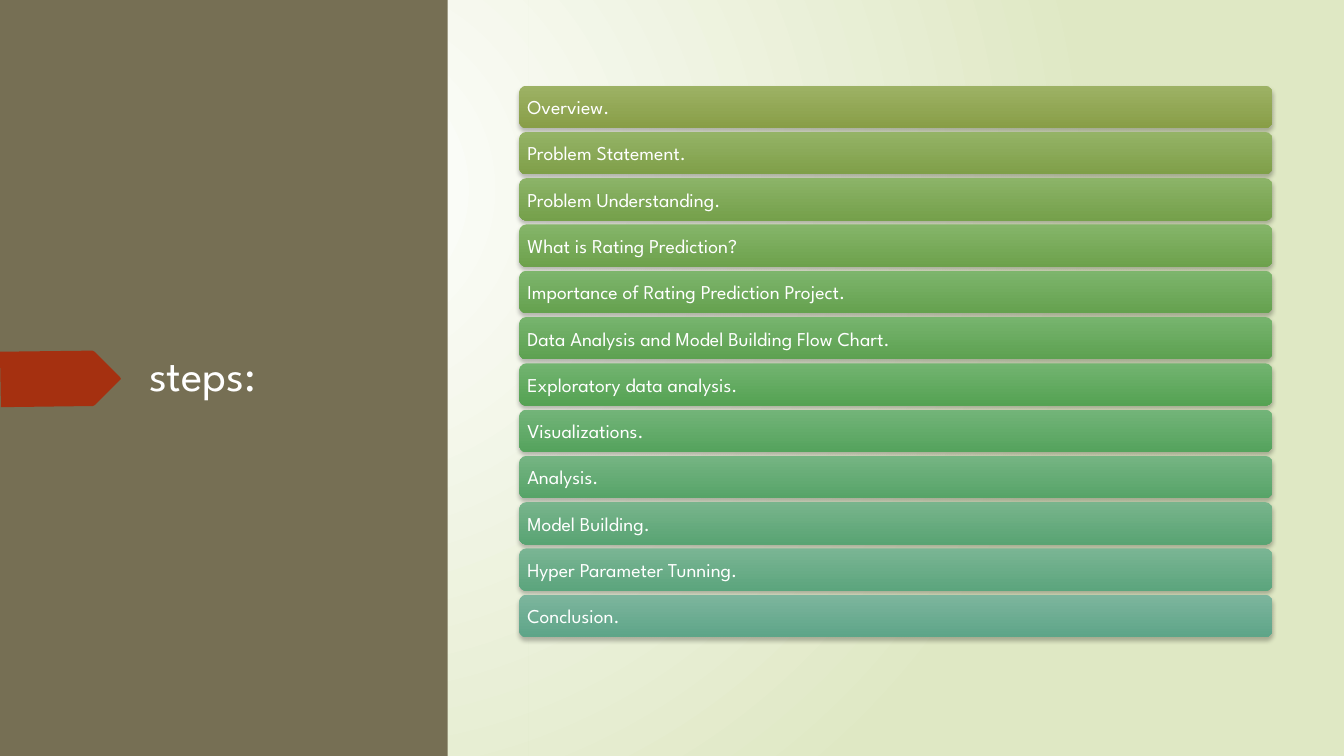
import pptx
import pptx.dml.color
import pptx.enum.shapes
import pptx.enum.text
import pptx.oxml
import pptx.oxml.ns
import pptx.util
from pptx.util import Inches

FONT = "League Spartan"
COLOURS = {
    "white": "FFFFFF",
    "backdrop": "DFE8C4",
    "panel": "766F54",
    "arrow": "A53010",
}
# Each step with the top and bottom colours of its bar
STEPS = [
    ("Overview.", "9DB265", "889E47"),
    ("Problem Statement.", "94B366", "7F9F49"),
    ("Problem Understanding.", "8CB468", "75A04B"),
    ("What is Rating Prediction?", "85B569", "6DA14C"),
    ("Importance of Rating Prediction Project.", "7DB56C", "65A14F"),
    ("Data Analysis and Model Building Flow Chart.", "77B46E", "5DA151"),
    ("Exploratory data analysis.", "72B470", "55A253"),
    ("Visualizations.", "73B479", "55A35D"),
    ("Analysis.", "75B483", "57A468"),
    ("Model Building.", "78B48C", "59A473"),
    ("Hyper Parameter Tunning.", "7AB594", "5CA57D"),
    ("Conclusion.", "7DB59D", "5EA588"),
]
# Arrow outline in hundredths of an inch from its top left corner
ARROW_POINTS = [(0, 1), (82, 0), (92, 0), (94, 1), (119, 26), (120, 28),
                (119, 29), (94, 54), (92, 55), (82, 55), (1, 56)]


def rgb(value):
    return pptx.dml.color.RGBColor.from_string(value)


def make_xml(tag, content="", **attributes):
    pairs = " ".join(f'{name}="{value}"' for name, value in attributes.items())
    return pptx.oxml.parse_xml(
        f'<a:{tag} {pptx.oxml.ns.nsdecls("a")} {pairs}>{content}</a:{tag}>')


def set_gradient(fill, first, last):
    fill.gradient()
    for stop, colour in zip(fill.gradient_stops, (first, last)):
        stop.color.rgb = rgb(colour)


def set_solid(shape, colour):
    shape.fill.solid()
    shape.fill.fore_color.rgb = rgb(colour)
    shape.line.fill.background()
    shape.shadow.inherit = False


def style_text(frame, size, anchor):
    frame.word_wrap = True
    frame.auto_size = pptx.enum.text.MSO_AUTO_SIZE.NONE
    frame.vertical_anchor = anchor
    for para in frame.paragraphs:
        para.alignment = pptx.enum.text.PP_ALIGN.LEFT
        for span in para.runs:
            span.font.name = FONT
            span.font.size = pptx.util.Pt(size)
            span.font.color.rgb = rgb(COLOURS["white"])


def paint_background(page):
    set_gradient(page.background.fill, COLOURS["white"], COLOURS["backdrop"])
    linear = next(page.element.iter(pptx.oxml.ns.qn("a:lin")))
    centre = '<a:fillToRect l="50000" t="50000" r="100000" b="100000"/>'
    linear.getparent().replace(linear, make_xml("path", centre, path="circle"))


def add_title_panel(page, left, top, width, height):
    # Panel behind the title
    panel = page.shapes.add_shape(
        pptx.enum.shapes.MSO_SHAPE.RECTANGLE,
        Inches(left), Inches(top), Inches(width), Inches(height))
    set_solid(panel, COLOURS["panel"])
    title = page.shapes.title
    title.element.addprevious(panel.element)

    # Title
    title.left, title.top = Inches(left + 1.38), Inches(top + 3.39)
    title.width, title.height = Inches(2.68), Inches(3.31)
    title.text_frame.text = "steps:"
    style_text(title.text_frame, 32, pptx.enum.text.MSO_ANCHOR.TOP)

    # Arrow at the panel's edge
    outline = page.shapes.build_freeform(*ARROW_POINTS[0], scale=Inches(0.01))
    outline.add_line_segments(ARROW_POINTS[1:], close=True)
    arrow = outline.convert_to_shape(Inches(left), Inches(top + 3.48))
    set_solid(arrow, COLOURS["arrow"])


def add_backdrop(page, left, top, width, height):
    backdrop = page.shapes.add_shape(
        pptx.enum.shapes.MSO_SHAPE.RECTANGLE,
        Inches(left), Inches(top), Inches(width), Inches(height))
    backdrop.line.fill.background()
    backdrop.shadow.inherit = False
    # Show the page background through the shape
    backdrop.element.set("useBgFill", "1")


def add_steps(page, left, top, width, height):
    bar_height = 0.42
    pitch = (height - bar_height) / (len(STEPS) - 1)
    for index, (label, light, dark) in enumerate(STEPS):
        bar = page.shapes.add_shape(
            pptx.enum.shapes.MSO_SHAPE.ROUNDED_RECTANGLE,
            Inches(left), Inches(top + index * pitch),
            Inches(width), Inches(bar_height))
        set_gradient(bar.fill, light, dark)
        bar.fill.gradient_angle = 270
        bar.line.fill.background()

        # Soft shadow below the bar
        bar.shadow.inherit = False
        effects = next(bar.element.iter(pptx.oxml.ns.qn("a:effectLst")))
        shade = '<a:srgbClr val="000000"><a:alpha val="25000"/></a:srgbClr>'
        effects.append(make_xml(
            "outerShdw", shade, blurRad=pptx.util.Pt(3), dist=pptx.util.Pt(2),
            dir=5400000, algn="ctr", rotWithShape=0))

        frame = bar.text_frame
        frame.text = label
        frame.margin_left = frame.margin_right = Inches(0.06)
        frame.margin_top = frame.margin_bottom = Inches(0.06)
        style_text(frame, 14, pptx.enum.text.MSO_ANCHOR.MIDDLE)


def main():
    deck = pptx.Presentation()
    deck.slide_width, deck.slide_height = Inches(13.33), Inches(7.5)
    page = deck.slides.add_slide(deck.slide_layouts[5])
    paint_background(page)
    add_title_panel(page, 0, 0, 4.44, 7.5)
    add_backdrop(page, 5.24, 0, 8.09, 7.5)
    add_steps(page, 5.15, 0.85, 7.47, 5.47)
    deck.save("out.pptx")


if __name__ == "__main__":
    main()
